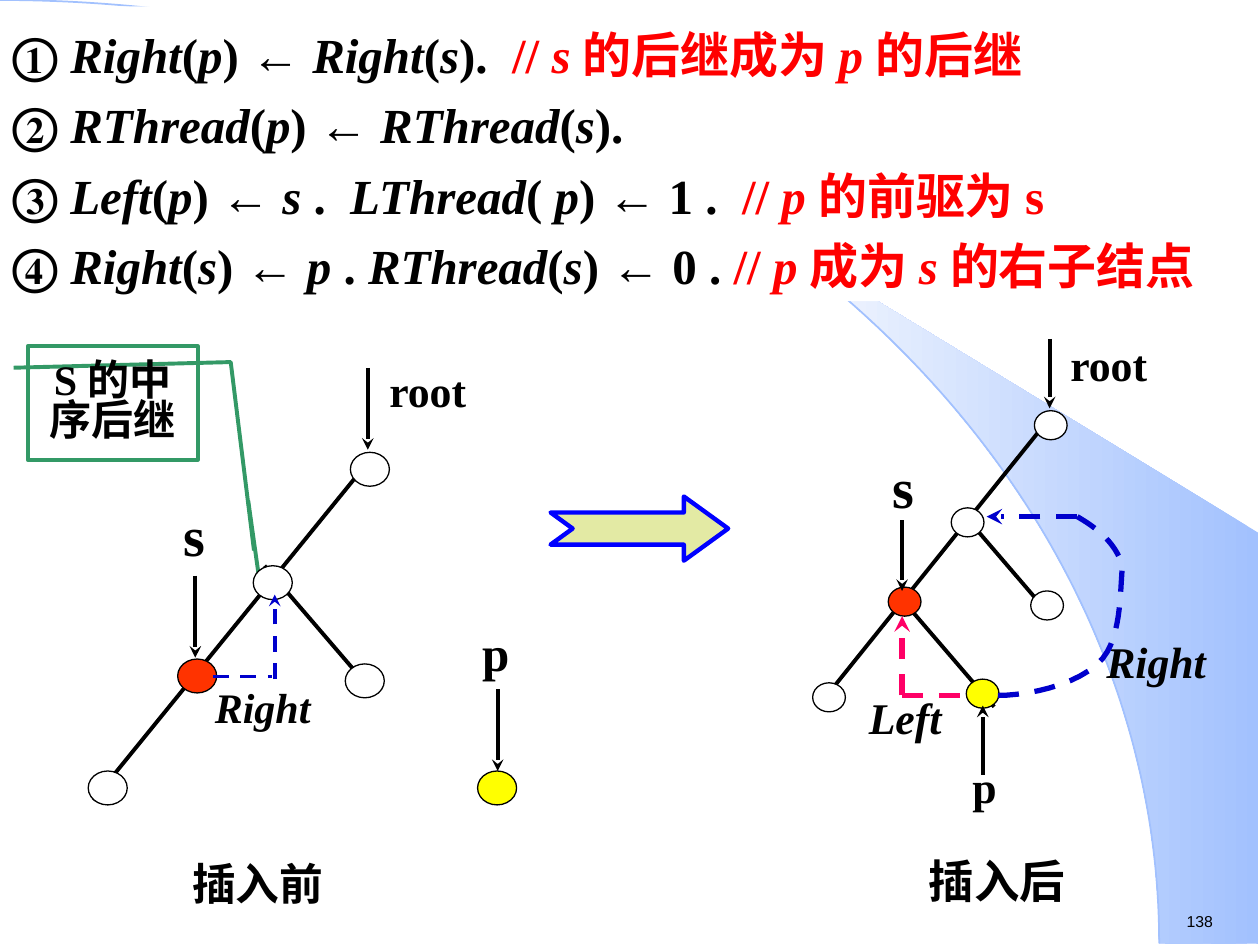
"""Build a slide on inserting a right child into a threaded binary tree."""
import math

import pptx
import pptx.chart.data
import pptx.dml.color
import pptx.enum.dml
import pptx.enum.shapes
import pptx.enum.text
import pptx.oxml
import pptx.util
from lxml import etree

Pt = pptx.util.Pt
KIND = pptx.enum.shapes.MSO_SHAPE
ALIGN = pptx.enum.text.PP_ALIGN
DASH = pptx.enum.dml.MSO_LINE.DASH
SERIF = "Times New Roman"
HUES = {
    "ink": "000000", "white": "FFFFFF", "red": "FF0000", "node": "FF3300",
    "gold": "FFFF00", "blue": "0000CC", "edge": "0000FF", "pink": "FF0066",
    "green": "339966", "lime": "E3EAA4", "sky": "A2C1FE", "pale": "FEFEFE",
}
STEPS = [
    "① |Right|(|p|) ← |Right|(|s|).  // |s |的后继成为 |p |的后继",
    "② |RThread|(|p|) ← |RThread|(|s|).",
    "③ |Left|(|p|) ← |s| .  |LThread|( |p|) ← 1 .  // |p |的前驱为 s",
    "④ |Right|(|s|) ← |p| . |RThread|(|s|) ← 0 . // |p |成为 |s |的右子结点",
]


def hue(name):
    return pptx.dml.color.RGBColor.from_string(HUES[name])


def paint(shape, fill=None, line=None, width=0.75):
    shape.shadow.inherit = False
    if fill:
        shape.fill.solid()
        shape.fill.fore_color.rgb = hue(fill)
    else:
        shape.fill.background()
    if line:
        shape.line.color.rgb = hue(line)
        shape.line.width = Pt(width)
    else:
        shape.line.fill.background()


def form(slide, kind, box, fill=None, line=None, width=0.75):
    shape = slide.shapes.add_shape(kind, *map(Pt, box))
    paint(shape, fill, line, width)
    return shape


def inset(frame, side=0, top=0):
    frame.margin_left = frame.margin_right = Pt(side)
    frame.margin_top = frame.margin_bottom = Pt(top)


def style(para, size, gap=None, font=SERIF, bold=True, slant=False):
    if gap:
        para.line_spacing = gap
    face = para.font
    face.name, face.size, face.bold, face.italic = font, Pt(size), bold, slant
    face.color.rgb = hue("ink")


def label(slide, text, box, size, gap=0.8, slant=False, fill=None,
          align=ALIGN.CENTER):
    shape = slide.shapes.add_textbox(*map(Pt, box))
    if fill:
        paint(shape, fill)
    frame = shape.text_frame
    frame.word_wrap = True
    inset(frame)
    para = frame.paragraphs[0]
    para.text, para.alignment = text, align
    style(para, size, gap, slant=slant)


def link(slide, ends, color="ink", width=2.25, dash=False, head=False):
    line = slide.shapes.add_connector(
        pptx.enum.shapes.MSO_CONNECTOR.STRAIGHT, *map(Pt, ends))
    line.line.color.rgb = hue(color)
    line.line.width = Pt(width)
    if dash:
        line.line.dash_style = DASH
    props = line._element.spPr
    if head:
        tip = etree.SubElement(line.line._get_or_add_ln(),
                               pptx.oxml.ns.qn("a:tailEnd"))
        tip.set("type", "stealth")
    etree.SubElement(props, pptx.oxml.ns.qn("a:effectLst"))


def trace(slide, dots, close):
    dots = [(Pt(x), Pt(y)) for x, y in dots]
    pen = slide.shapes.build_freeform(*dots[0])
    pen.add_line_segments(dots[1:], close=close)
    return pen.convert_to_shape()


def bend(a, b, c, d, count=12):
    for step in range(1, count + 1):
        t = step / count
        u = 1 - t
        yield tuple(u**3 * p + 3 * u * u * t * q + 3 * u * t * t * r + t**3 * s
                    for p, q, r, s in zip(a, b, c, d))


def backdrop(slide):
    wide, tall = 662.4, 539
    turns = [math.asin(424.1 / wide) + (math.pi / 2 - math.asin(424.1 / wide))
             * i / 20 for i in range(21)]
    rim = [(wide * math.sin(t), tall * (1 - math.cos(t))) for t in turns]
    swoosh = trace(slide, rim + [(719.3, 539.3), (719.3, 304.6)], True)
    paint(swoosh)
    swoosh.fill.gradient()
    swoosh.fill.gradient_angle = 180
    for stop, name in zip(swoosh.fill.gradient_stops, ("sky", "pale")):
        stop.color.rgb = hue(name)
    form(slide, KIND.ARC, (-wide, 0, 2 * wide, 2 * tall), line="sky", width=1)
    page = slide.shapes.add_textbox(*map(Pt, (671, 517.7, 55.4, 18)))
    page.text_frame.word_wrap = False
    inset(page.text_frame, 7.2, 3.6)
    para = page.text_frame.paragraphs[0]
    para.text = "138"
    style(para, 9, font="Arial", bold=False)


def callout(slide):
    note = form(slide, KIND.LINE_CALLOUT_2, (15.8, 198, 97.2, 64.8),
                "white", "green", 2.25)
    for i, value in enumerate((0.188, -0.083, 0.138, 1.194, 1.8, 1.331)):
        note.adjustments[i] = value
    frame = note.text_frame
    frame.vertical_anchor = pptx.enum.text.MSO_ANCHOR.MIDDLE
    inset(frame)
    frame.text = "S 的中\n序后继"
    for para in frame.paragraphs:
        para.alignment = ALIGN.CENTER
        style(para, 24, 0.8)
    link(slide, (141.8, 285.8, 149, 337), "green", head=True)


def tree(slide, edges, heads, nodes, size):
    for ends in edges:
        link(slide, ends)
    for x, y, fill in nodes:
        form(slide, KIND.OVAL, (x, y, *size), fill, "ink")
    for x, top, end in heads:
        link(slide, (x, top, x, end), head=True)


def before(slide):
    label(slide, "插入前", (25.2, 491.8, 244, 31), 25, 0.95, fill="white")
    label(slide, "Right", (118.8, 393.8, 62.6, 25.2), 24, 0.85, True)
    label(slide, "s", (80.6, 285.8, 61.2, 46.8), 32, None)
    label(slide, "p", (269.3, 362.2, 28, 26), 28)
    label(slide, "root", (217.4, 213.8, 54, 23), 25)
    tree(slide,
         [(206, 269.3, 53.3, 457.2), (151.2, 323.3, 211.7, 393.8)],
         [(284.4, 393.8, 440.6), (210.2, 210.2, 257), (111.6, 329, 375.8)],
         [(197.3, 379.4, "white"), (50.4, 440.6, "white"),
          (101.5, 376.6, "node"), (144.7, 323.3, "white"),
          (200.2, 258.5, "white"), (272.9, 440.6, "gold")], (22.3, 19.4))
    link(slide, (157, 388.1, 157, 339.8), "blue", dash=True, head=True)
    link(slide, (121.7, 386.6, 155.5, 386.6), "blue", dash=True)


def after(slide):
    label(slide, "插入后", (505.4, 491, 128.9, 31), 26, 0.9, fill="white")
    label(slide, "root", (606.2, 198.7, 54.7, 22.3), 25)
    label(slide, "p", (548.6, 439.9, 28, 28), 25)
    label(slide, "Right", (632.2, 367.2, 64, 27.4), 25, 0.85, True,
          align=ALIGN.LEFT)
    label(slide, "Left", (496, 399.6, 42.5, 25.2), 25, 0.85, True)
    label(slide, "s", (490.3, 258.5, 51.8, 40.3), 32, None)
    tree(slide,
         [(516.2, 343.4, 568.1, 403.9), (596.2, 243.4, 467.3, 403.9),
          (548.6, 291.6, 600.5, 352.1)],
         [(599.8, 193.7, 233.3), (515.5, 297.4, 337.7), (561.6, 442.8, 403.2)],
         [(589, 337.7, "white"), (464.4, 390.2, "white"),
          (507.6, 335.5, "node"), (543.6, 290.2, "white"),
          (591.1, 234.7, "white"), (552.2, 388.1, "gold")], (18.7, 16.6))
    link(slide, (615.6, 295.2, 563.8, 295.2), "blue", 3, True, True)
    knots = [(615.6, 295.2), (627.8, 302.4), (636.5, 309.6), (641.5, 322.6),
             (640.1, 337), (640.8, 357.8), (632.9, 372.2),
             (623.5, 389.5), (590.4, 397.4), (570.2, 397.4)]
    dots = knots[:1]
    for i in range(0, 9, 3):
        dots.extend(bend(*knots[i:i + 4]))
    curve = trace(slide, dots, False)
    paint(curve, None, "blue", 3)
    curve.line.dash_style = DASH
    link(slide, (515.5, 397.4, 515.5, 352.1), "pink", 3, True, True)
    link(slide, (515.5, 397.4, 552.2, 397.4), "pink", 3, True)


def steps(slide):
    panel = slide.shapes.add_textbox(*map(Pt, (0, 3.6, 720, 168.5)))
    paint(panel, "white")
    frame = panel.text_frame
    frame.word_wrap = True
    inset(frame, 7.2, 3.6)
    for i, text in enumerate(STEPS):
        para = frame.add_paragraph() if i else frame.paragraphs[0]
        props = para._p.get_or_add_pPr()
        props.set("marL", str(Pt(27.4)))
        props.set("indent", str(Pt(-27.4)))
        style(para, 28, 1.2)
        code, mark, note = text.partition("// ")
        for part, color in ((code, "ink"), (mark + note, "red")):
            for j, bit in enumerate(part.split("|")):
                for k, piece in enumerate(bit.partition("←")):
                    if piece:
                        run = para.add_run()
                        run.text = piece
                        run.font.name = "Arial" if k == 1 else SERIF
                        run.font.italic = j % 2 == 1
                        run.font.color.rgb = hue(color)


def main():
    deck = pptx.Presentation()
    deck.slide_width, deck.slide_height = Pt(720), Pt(540)
    slide = deck.slides.add_slide(deck.slide_layouts[6])
    backdrop(slide)
    callout(slide)
    before(slide)
    arrow = form(slide, KIND.NOTCHED_RIGHT_ARROW, (314.6, 283.7, 101.5, 36.7),
                 "lime", "edge", 2.5)
    arrow.adjustments[0], arrow.adjustments[1] = 0.5, 0.69
    after(slide)
    steps(slide)
    deck.save("out.pptx")


if __name__ == "__main__":
    main()
